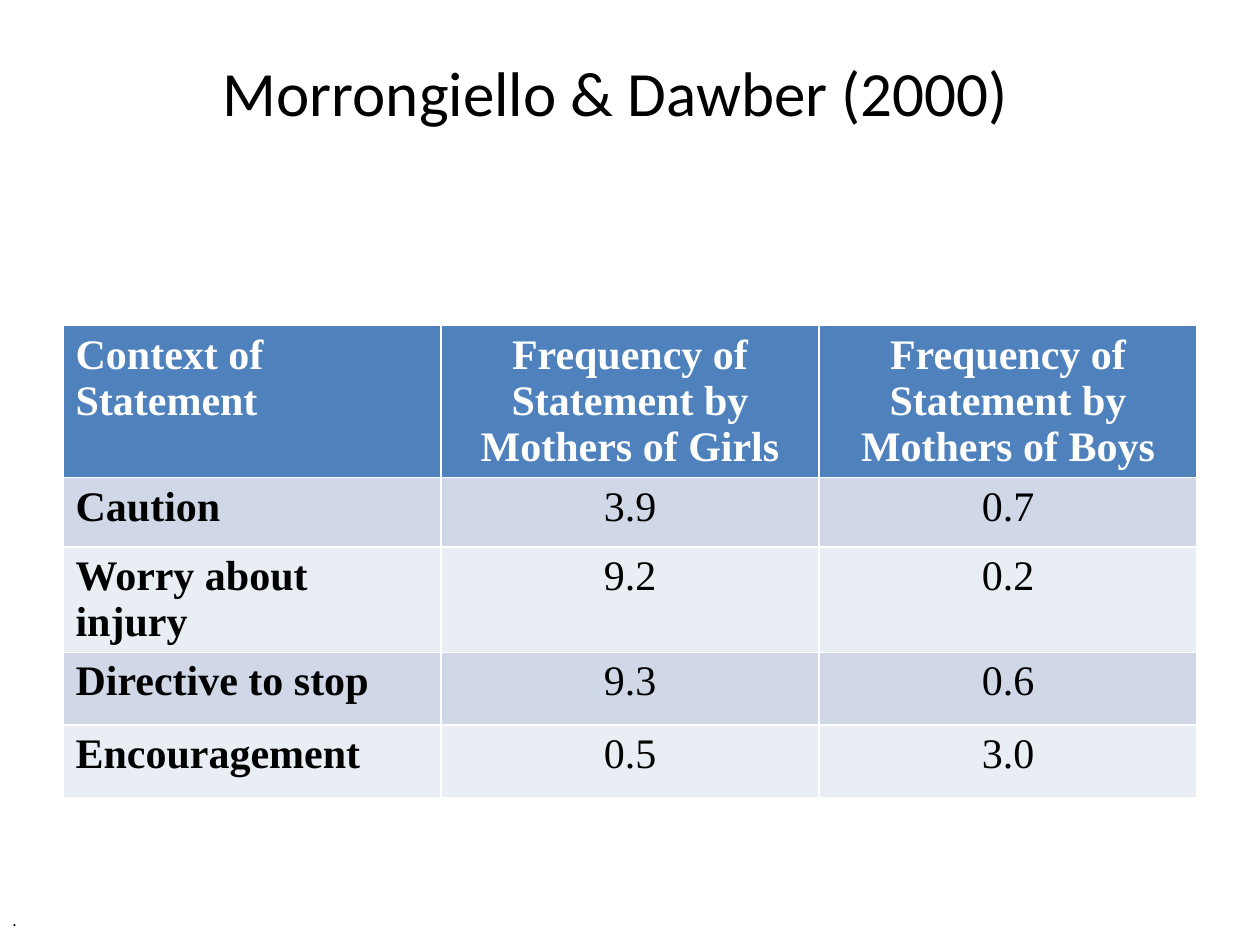
from pptx import Presentation
from pptx import util as u
from pptx.dml import color
from pptx.enum import text

COLORS = {"black": "000000", "white": "FFFFFF", "header": "4F81BD",
          "odd": "D0D8E8", "even": "E9EDF4"}
ROWS = [
    ("Context of Statement", "Frequency of Statement by Mothers of Girls",
     "Frequency of Statement by Mothers of Boys"),
    ("Caution", "3.9", "0.7"),
    ("Worry about injury", "9.2", "0.2"),
    ("Directive to stop", "9.3", "0.6"),
    ("Encouragement", "0.5", "3.0"),
]
ROW_HEIGHTS = [1.04, 1.4, 1.47, 1.47, 1.47]


def rgb(name):
    """Return the palette colour with the given name."""
    return color.RGBColor.from_string(COLORS[name])


def write(tf, content, size, font="Calibri", fill="black", bold=False,
          align=text.PP_ALIGN.LEFT, spacing=None):
    """Put one formatted paragraph into a text frame."""
    p = tf.paragraphs[0]
    p.alignment = align
    if spacing:
        p.line_spacing = u.Pt(spacing)
    r = p.add_run()
    r.text = content
    r.font.name, r.font.size, r.font.bold = font, u.Pt(size), bold
    r.font.color.rgb = rgb(fill)


def add_title(s, content, left, top, width, height):
    """Place the title placeholder in its box."""
    sp = s.shapes.title
    sp.left, sp.top, sp.width, sp.height = map(u.Cm, (left, top, width, height))
    tf = sp.text_frame
    tf.auto_size = text.MSO_AUTO_SIZE.NONE
    tf.vertical_anchor = text.MSO_ANCHOR.BOTTOM
    write(tf, content, 36, spacing=34)


def add_frequency_table(s, left, top, width):
    """Draw the statement frequencies in equal columns."""
    count = len(ROWS[0])
    table = s.shapes.add_table(len(ROWS), count, u.Cm(left), u.Cm(top),
                               u.Cm(width), u.Cm(sum(ROW_HEIGHTS))).table
    for col in table.columns:
        col.width = u.Cm(width / count)
    for i, (values, height) in enumerate(zip(ROWS, ROW_HEIGHTS)):
        table.rows[i].height = u.Cm(height)
        band = "header" if i == 0 else ("even", "odd")[i % 2]
        for j, value in enumerate(values):
            cell = table.cell(i, j)
            cell.fill.solid()
            cell.fill.fore_color.rgb = rgb(band)
            write(cell.text_frame, value, 24, "Times New Roman",
                  fill="black" if i else "white", bold=i == 0 or j == 0,
                  align=text.PP_ALIGN.CENTER if j else text.PP_ALIGN.LEFT)


def add_footnote(s, content, left, top, width, height):
    """Place the small note at the foot of the slide."""
    sp = s.shapes.add_textbox(*map(u.Cm, (left, top, width, height)))
    sp.text_frame.word_wrap = True
    write(sp.text_frame, content, 10)


def main():
    """Build and save the slide."""
    prs = Presentation()
    prs.slide_width, prs.slide_height = u.Cm(25.4), u.Cm(19.05)
    s = prs.slides.add_slide(prs.slide_layouts[5])
    add_title(s, "Morrongiello & Dawber (2000)", 4.24, 0, 19.89, 2.74)
    add_frequency_table(s, 1.27, 6.56, 22.86)
    add_footnote(s, ".", 0, 18.21, 12.27, 0.58)
    prs.save("out.pptx")


if __name__ == "__main__":
    main()
